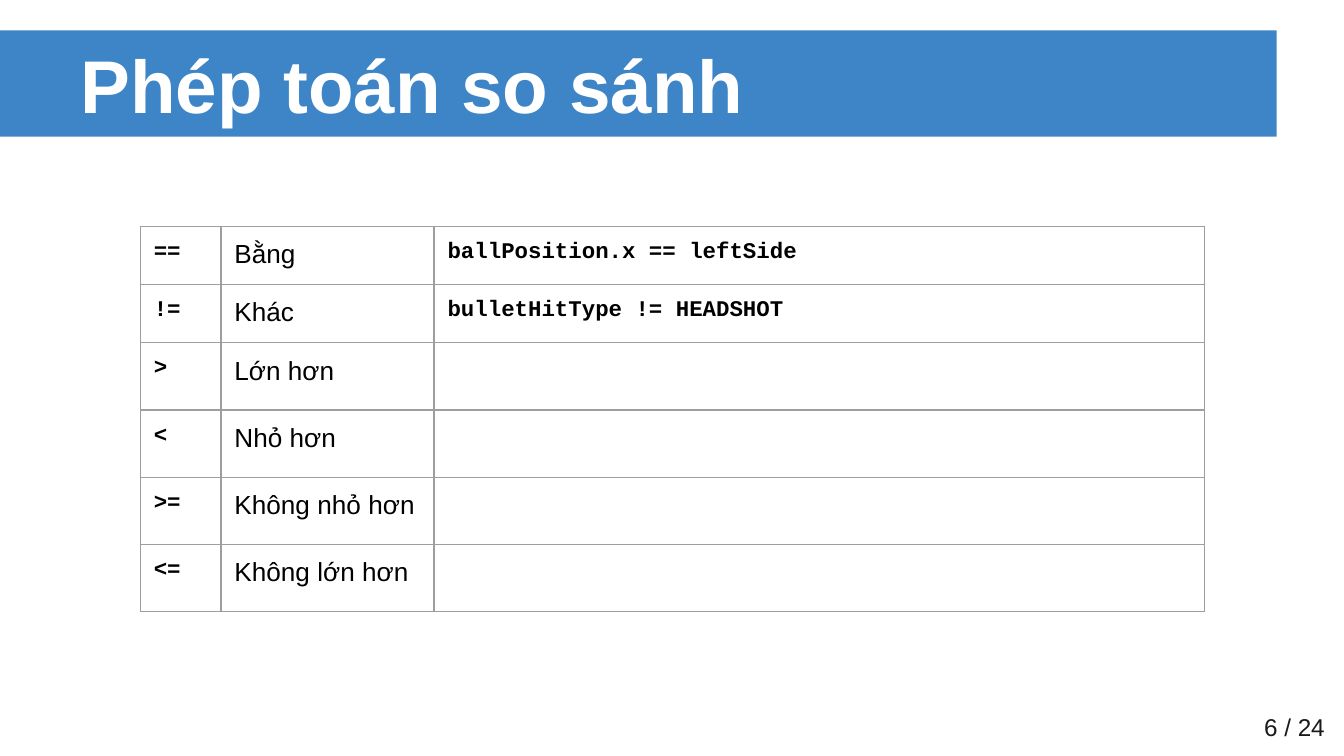
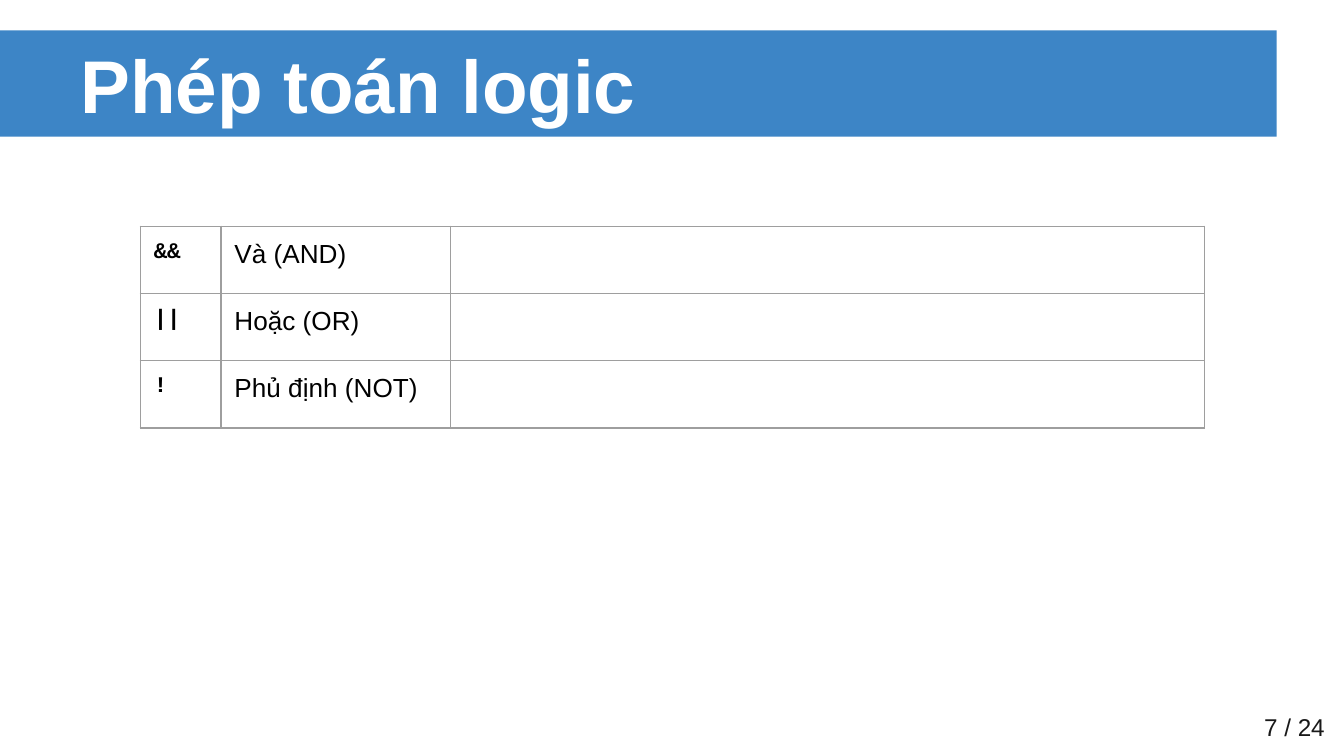
from typing import NamedTuple

from lxml import etree
from pptx import Presentation
from pptx.dml.color import RGBColor
from pptx.enum.shapes import MSO_SHAPE
from pptx.enum.text import MSO_ANCHOR, PP_ALIGN
from pptx.oxml.ns import qn
from pptx.util import Inches, Pt

RECT = MSO_SHAPE.RECTANGLE
MIDDLE = MSO_ANCHOR.MIDDLE
LEFT, RIGHT = PP_ALIGN.LEFT, PP_ALIGN.RIGHT

WIDTH = Inches(10)
HEIGHT = WIDTH * 9 // 16
COL, ROW = WIDTH / 100, HEIGHT / 100
INSET = Inches(0.1)
TOTAL = 24
COLORS = {
    "band": "3D85C6",
    "title": "FFFFFF",
    "text": "000000",
    "page": "191919",
    "rule": "9E9E9E",
}


class Box(NamedTuple):
    left: float
    top: float
    width: float
    height: float

    def place(self) -> tuple[int, int, int, int]:
        return (round(self.left * COL), round(self.top * ROW),
                round(self.width * COL), round(self.height * ROW))


class Style(NamedTuple):
    size: int
    color: str
    font: str = "Arial"
    bold: bool = False


class Term(NamedTuple):
    sign: str
    name: str
    code: str = ""


class Page(NamedTuple):
    number: int
    title: str
    split: float
    terms: list[Term]


BAND = Box(0, 4.02, 95, 14.06)
TITLE = Box(5, 4.02, 90, 14.06)
FOOT = Box(87.64, 92.35, 11.9, 7.65)
GRID = Box(10.44, 29.92, 32.8, 58.32)
SPAN, SIGN, LINE = 79.2, 6, 7.41

HEAD = Style(40, "title", bold=True)
BODY = Style(14, "text")
CODE = Style(12, "text", "Courier New", True)
NOTE = Style(13, "page")

PAGES = [
    Page(6, "Phép toán so sánh", 15.86, [
        Term("==", "Bằng", "ballPosition.x == leftSide"),
        Term("!=", "Khác", "bulletHitType != HEADSHOT"),
        Term(">", "Lớn hơn"),
        Term("<", "Nhỏ hơn"),
        Term(">=", "Không nhỏ hơn"),
        Term("<=", "Không lớn hơn"),
    ]),
    Page(7, "Phép toán logic", 17.1, [
        Term("&&", "Và (AND)"),
        Term("||", "Hoặc (OR)"),
        Term("!", "Phủ định (NOT)"),
    ]),
]


def tint(name: str) -> RGBColor:
    return RGBColor.from_string(COLORS[name])


def pad(item) -> None:
    item.margin_left = item.margin_right = INSET
    item.margin_top = item.margin_bottom = INSET


def write(frame, text: str, style: Style, align=LEFT) -> None:
    line = frame.paragraphs[0]
    line.alignment = align
    run = line.add_run()
    run.text = text
    font = run.font
    font.name, font.size, font.bold = style.font, Pt(style.size), style.bold
    font.color.rgb = tint(style.color)


def label(slide, box: Box, text: str, style: Style, align=LEFT) -> None:
    frame = slide.shapes.add_textbox(*box.place()).text_frame
    frame.word_wrap = True
    frame.vertical_anchor = MIDDLE
    pad(frame)
    write(frame, text, style, align)


def edge(cell) -> None:
    props = cell._tc.get_or_add_tcPr()
    for spot, side in enumerate(("lnL", "lnR", "lnT", "lnB")):
        line = etree.Element(qn(f"a:{side}"), w=str(Pt(0.75)))
        fill = etree.SubElement(line, qn("a:solidFill"))
        etree.SubElement(fill, qn("a:srgbClr"), val=COLORS["rule"])
        props.insert(spot, line)


def grid(slide, page: Page) -> None:
    place = GRID.place()
    holder = slide.shapes.add_table(len(page.terms), 3, *place)
    table = holder.table
    table.first_row = table.horz_banding = False
    spans = (SIGN, page.split, SPAN - SIGN - page.split)
    for column, span in zip(table.columns, spans):
        column.width = round(span * COL)
    for row, term in zip(table.rows, page.terms):
        row.height = round(LINE * ROW)
        for cell, text, style in zip(row.cells, term, (CODE, BODY, CODE)):
            pad(cell)
            cell.fill.background()
            edge(cell)
            if text:
                write(cell.text_frame, text, style)
    holder.width, holder.height = place[2:]


def build(deck, page: Page) -> None:
    slide = deck.slides.add_slide(deck.slide_layouts[6])
    band = slide.shapes.add_shape(RECT, *BAND.place())
    band.shadow.inherit = False
    band.fill.solid()
    band.fill.fore_color.rgb = tint("band")
    band.line.fill.background()
    label(slide, TITLE, page.title, HEAD)
    grid(slide, page)
    label(slide, FOOT, f"{page.number} / {TOTAL}", NOTE, RIGHT)


def main() -> None:
    deck = Presentation()
    deck.slide_width, deck.slide_height = WIDTH, HEIGHT
    for page in PAGES:
        build(deck, page)
    deck.save("out.pptx")


if __name__ == "__main__":
    main()
